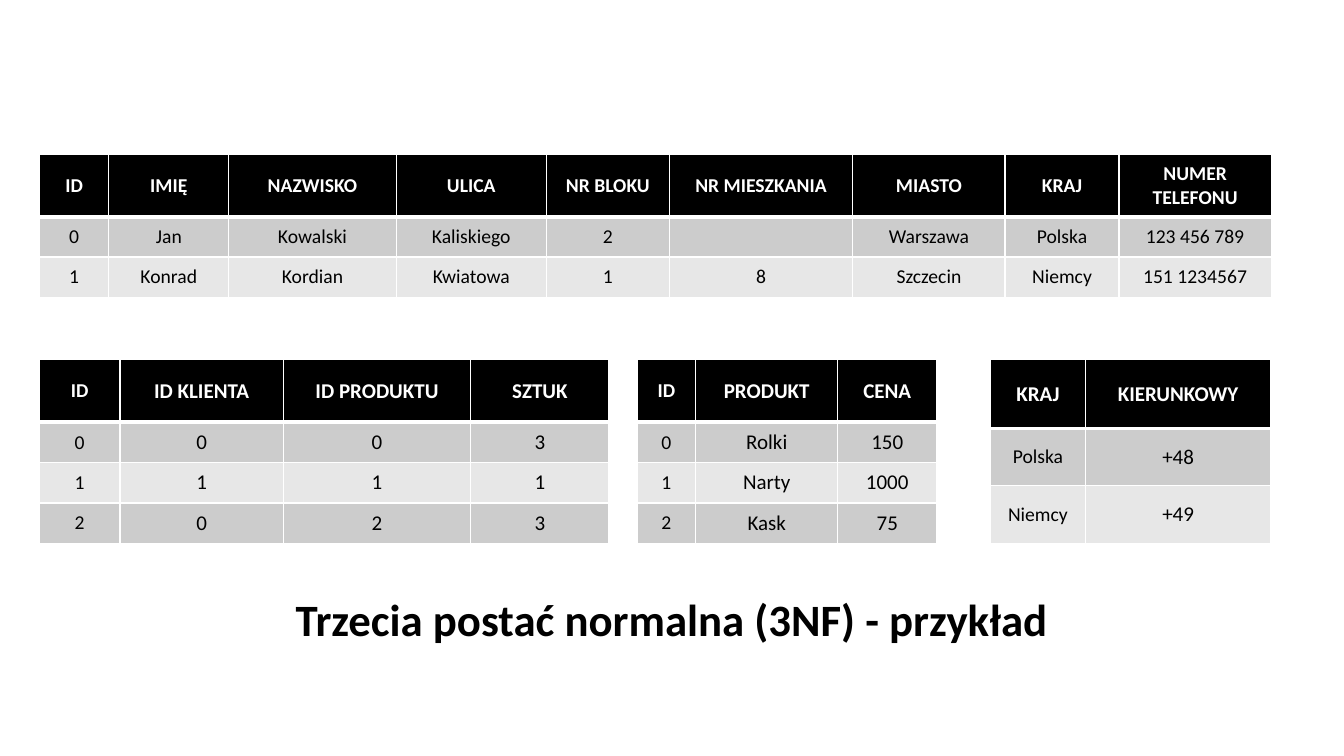
"""Build a slide showing example tables in third normal form."""
from lxml.etree import SubElement
from pptx import Presentation
from pptx.dml.color import RGBColor
from pptx.enum.text import MSO_ANCHOR, PP_ALIGN
from pptx.oxml.ns import qn
from pptx.util import Pt

PX = 9144
FONT = "Calibri"
COLORS = {"black": "000000", "white": "FFFFFF", "odd": "CCCCCC", "even": "E7E7E7"}

TABLES = [
    {
        "position": (39, 153),
        "columns": [69, 119, 166, 149, 122, 182, 151, 113, 151],
        "heights": [62, 40, 40],
        "header_sizes": [14] * 9,
        "body_sizes": [14] * 9,
        "rows": [
            ["ID", "IMIĘ", "NAZWISKO", "ULICA", "NR BLOKU", "NR MIESZKANIA",
             "MIASTO", "KRAJ", "NUMER TELEFONU"],
            ["0", "Jan", "Kowalski", "Kaliskiego", "2", "", "Warszawa", "Polska", "123 456 789"],
            ["1", "Konrad", "Kordian", "Kwiatowa", "1", "8", "Szczecin", "Niemcy", "151 1234567"],
        ],
    },
    {
        "position": (982, 357),
        "columns": [95, 183],
        "heights": [68, 57, 57],
        "header_sizes": [15, 15],
        "body_sizes": [14, 15],
        "rows": [["KRAJ", "KIERUNKOWY"], ["Polska", "+48"], ["Niemcy", "+49"]],
    },
    {
        "position": (39, 357),
        "columns": [80, 162, 186, 137],
        "heights": [62, 40, 40, 40],
        "header_sizes": [14, 15, 15, 15],
        "body_sizes": [14, 15, 15, 15],
        "rows": [
            ["ID", "ID KLIENTA", "ID PRODUKTU", "SZTUK"],
            ["0", "0", "0", "3"],
            ["1", "1", "1", "1"],
            ["2", "0", "2", "3"],
        ],
    },
    {
        "position": (632, 357),
        "columns": [58, 141, 98],
        "heights": [62, 40, 40, 40],
        "header_sizes": [14, 15, 15],
        "body_sizes": [14, 15, 15],
        "rows": [
            ["ID", "PRODUKT", "CENA"],
            ["0", "Rolki", "150"],
            ["1", "Narty", "1000"],
            ["2", "Kask", "75"],
        ],
    },
]


def style_paragraph(paragraph, size, color, bold):
    paragraph.alignment = PP_ALIGN.CENTER
    paragraph.font.name = FONT
    paragraph.font.size = Pt(size)
    paragraph.font.bold = bold
    paragraph.font.color.rgb = RGBColor.from_string(COLORS[color])


def add_border(cell, side, points):
    line = SubElement(cell._tc.get_or_add_tcPr(), qn(f"a:ln{side}"), w=str(Pt(points)))
    fill = SubElement(line, qn("a:solidFill"))
    SubElement(fill, qn("a:srgbClr"), val=COLORS["white"])


presentation = Presentation()
presentation.slide_width = 1333 * PX
presentation.slide_height = 750 * PX
slide = presentation.slides.add_slide(presentation.slide_layouts[6])

title = slide.shapes.add_textbox(189 * PX, 558 * PX, 955 * PX, 88 * PX)
title_frame = title.text_frame
title_frame.word_wrap = True
title_frame.vertical_anchor = MSO_ANCHOR.BOTTOM
title_frame.text = "Trzecia postać normalna (3NF) - przykład"
title_paragraph = title_frame.paragraphs[0]
title_paragraph.line_spacing = 0.9
style_paragraph(title_paragraph, 32, "black", True)

for data in TABLES:
    left, top = data["position"]
    columns, heights = data["columns"], data["heights"]
    table = slide.shapes.add_table(
        len(heights), len(columns), left * PX, top * PX, sum(columns) * PX, sum(heights) * PX
    ).table
    for column, width in zip(table.columns, columns):
        column.width = width * PX
    for row_index, (row, height) in enumerate(zip(table.rows, heights)):
        row.height = height * PX
        is_header = row_index == 0
        fill_color = "black" if is_header else "odd" if row_index % 2 else "even"
        sizes = data["header_sizes"] if is_header else data["body_sizes"]
        for cell, text, size in zip(row.cells, data["rows"][row_index], sizes):
            cell.text = text
            cell.vertical_anchor = MSO_ANCHOR.MIDDLE
            cell.margin_left = cell.margin_right = (13 if is_header else 7) * PX
            cell.margin_top = cell.margin_bottom = 4 * PX
            style_paragraph(
                cell.text_frame.paragraphs[0], size, "white" if is_header else "black", is_header
            )
            add_border(cell, "L", 1)
            add_border(cell, "R", 1)
            add_border(cell, "T", 3 if row_index == 1 else 1)
            add_border(cell, "B", 3 if is_header else 1)
            cell.fill.solid()
            cell.fill.fore_color.rgb = RGBColor.from_string(COLORS[fill_color])

presentation.save("out.pptx")
